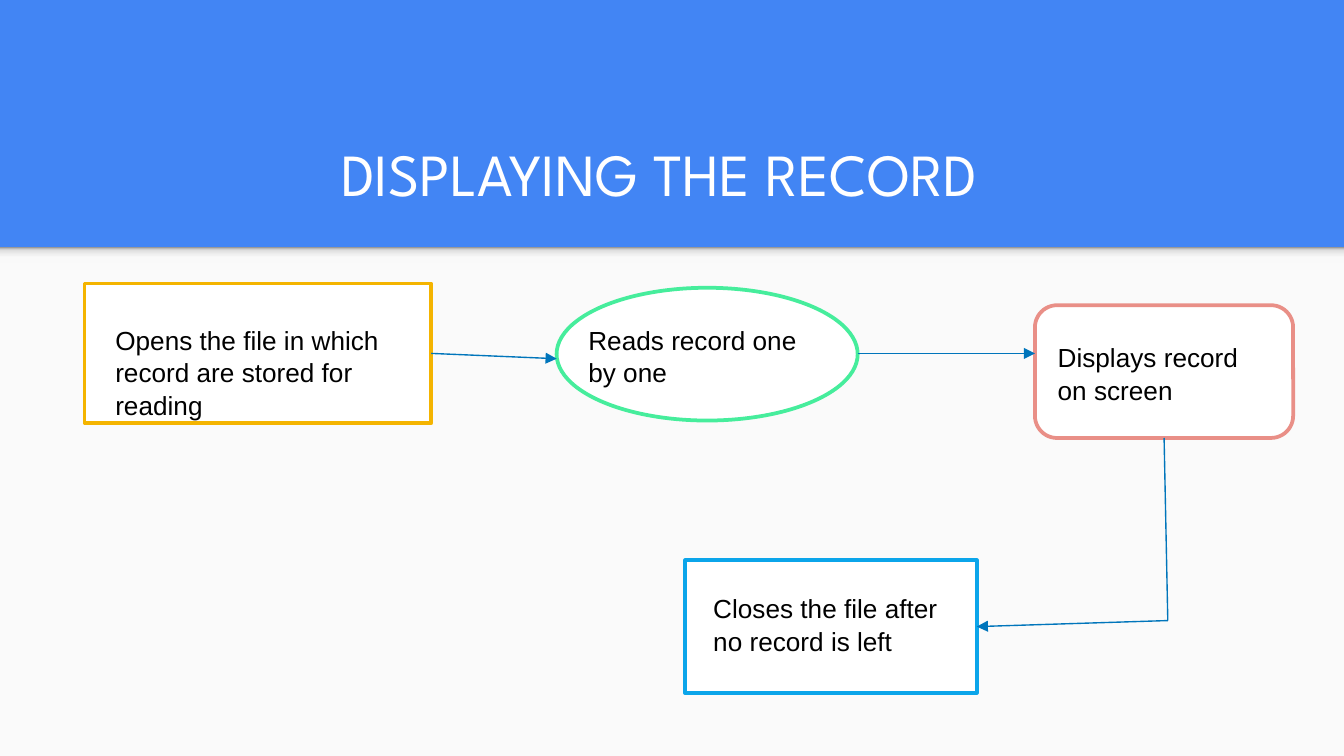
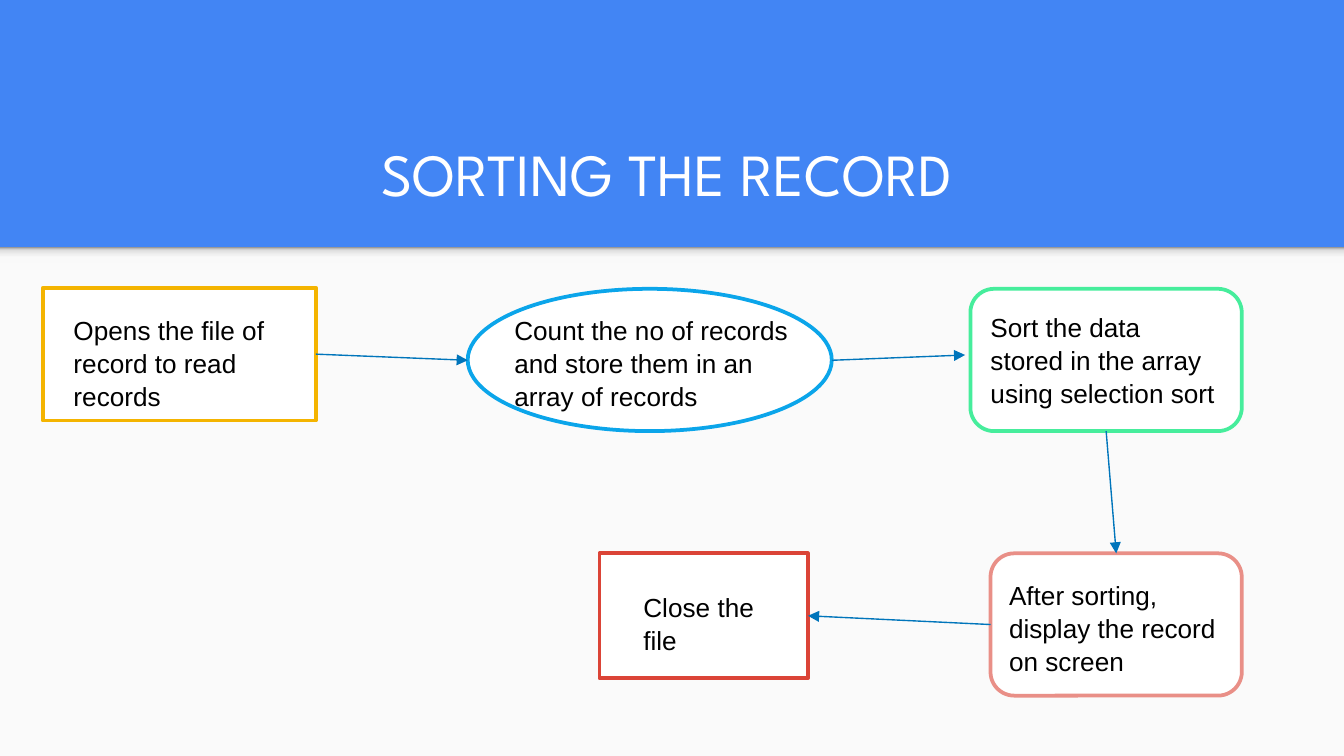
import pptx
import pptx.dml.color
import pptx.enum.shapes
import pptx.enum.text
import pptx.oxml
import pptx.oxml.ns
import pptx.util
import lxml.etree

Cm = pptx.util.Cm
Pt = pptx.util.Pt
SHAPES = pptx.enum.shapes.MSO_SHAPE
RECTANGLE, OVAL, ROUNDED = SHAPES.RECTANGLE, SHAPES.OVAL, SHAPES.ROUNDED_RECTANGLE
TOP, LEFT, BOTTOM, RIGHT = range(4)

BLUE, PAPER, WHITE, BLACK = "4285F4", "FAFAFA", "FFFFFF", "000000"
YELLOW, GREEN, PINK, SKY, RED = "F4B400", "46ED9C", "E98F87", "0BA5EA", "DB4437"
ARROW = "0075BB"
SHADOW_STOPS = [(0, "F9F9F9"), (36, "F9F9F9"), (80, "DEDEDE"), (100, "999999")]


def color(hex_text):
    return pptx.dml.color.RGBColor.from_string(hex_text)


def add_panel(slide, kind, box, fill):
    shape = slide.shapes.add_shape(kind, *[Cm(length) for length in box])
    shape.shadow.inherit = False
    shape.fill.solid()
    shape.fill.fore_color.rgb = color(fill)
    shape.line.fill.background()
    return shape


# Each step: kind, outline, box, text, text box.
# Each arrow: start, end, joined start, joined end, arrowhead.
flows = [
    {
        "title": "DISPLAYING THE RECORD ",
        "steps": [
            (RECTANGLE, YELLOW, (1.6, 5.36, 6.55, 2.64),
             "Opens the file in which record are stored for reading", (1.93, 5.97, 5.64, 2.06)),
            (OVAL, GREEN, (10.52, 5.44, 5.69, 2.51),
             "Reads record one by one", (10.87, 5.97, 4.93, 1.45)),
            (ROUNDED, PINK, (19.56, 5.77, 4.88, 2.51),
             "Displays record on screen", (19.74, 6.3, 4.42, 1.45)),
            (RECTANGLE, SKY, (12.95, 10.59, 5.51, 2.51),
             "Closes the file after no record is left", (13.23, 11.05, 4.83, 1.45)),
        ],
        "arrows": [
            ((8.15, 6.68), (10.52, 6.78), (0, RIGHT), None, True),
            ((16.21, 6.68), (19.56, 6.68), None, None, True),
            ((22, 8.28), (22.07, 11.73), (2, BOTTOM), None, False),
            ((22.07, 11.73), (18.46, 11.84), None, (3, RIGHT), True),
        ],
    },
    {
        "title": "SORTING THE RECORD",
        "steps": [
            (RECTANGLE, YELLOW, (0.81, 5.44, 5.16, 2.51),
             "Opens the file of record to read records", (1.14, 5.79, 4.34, 2.06)),
            (OVAL, SKY, (8.84, 5.46, 6.88, 2.69),
             "Count the no of records and store them in an array of records", (9.47, 5.79, 5.79, 2.06)),
            (ROUNDED, GREEN, (18.34, 5.46, 5.13, 2.69),
             "Sort the data stored in the array using selection sort", (18.47, 5.74, 4.83, 2.06)),
            (ROUNDED, PINK, (18.72, 10.46, 4.75, 2.69),
             "After sorting, display the record on screen", (18.82, 10.8, 4.47, 2.06)),
            (RECTANGLE, RED, (11.33, 10.46, 3.94, 2.36),
             "Close the file", (11.91, 11.02, 3, 1.45)),
        ],
        "arrows": [
            ((5.97, 6.7), (8.84, 6.81), (0, RIGHT), None, True),
            ((15.72, 6.81), (18.24, 6.71), None, None, True),
            ((20.9, 8.15), (21.1, 10.46), (2, BOTTOM), (3, TOP), True),
            ((18.72, 11.81), (15.27, 11.64), (3, LEFT), (4, RIGHT), True),
        ],
    },
]

presentation = pptx.Presentation()
presentation.slide_width = Cm(25.4)
presentation.slide_height = Cm(14.29)
background = presentation.slide_master.background.fill
background.solid()
background.fore_color.rgb = color(BLUE)

for flow in flows:
    slide = presentation.slides.add_slide(presentation.slide_layouts[5])

    title = slide.shapes.title
    title.left, title.top, title.width, title.height = Cm(1.32), Cm(2.06), Cm(22.57), Cm(2.13)
    frame = title.text_frame
    frame.text = flow["title"]
    frame.auto_size = pptx.enum.text.MSO_AUTO_SIZE.NONE
    frame.vertical_anchor = pptx.enum.text.MSO_ANCHOR.BOTTOM
    frame.margin_left = frame.margin_right = frame.margin_top = frame.margin_bottom = Cm(0.25)
    paragraph = frame.paragraphs[0]
    paragraph.alignment = pptx.enum.text.PP_ALIGN.CENTER
    paragraph.font.name = "League Spartan"
    paragraph.font.size = Pt(32)
    paragraph.font.color.rgb = color(WHITE)

    add_panel(slide, RECTANGLE, (0, 4.67, 25.4, 9.62), PAPER)
    band_shadow = add_panel(slide, RECTANGLE, (0, 4.67, 25.4, 0.3), PAPER)
    band_shadow.fill.gradient()
    band_shadow.fill.gradient_angle = 90
    stop_list = band_shadow.element.spPr.find(".//" + pptx.oxml.ns.qn("a:gsLst"))
    for stop in list(stop_list):
        stop_list.remove(stop)
    for position, stop_color in SHADOW_STOPS:
        stop = lxml.etree.SubElement(stop_list, pptx.oxml.ns.qn("a:gs"), pos=str(position * 1000))
        lxml.etree.SubElement(stop, pptx.oxml.ns.qn("a:srgbClr"), val=stop_color)

    step_shapes = []
    for kind, outline, box, text, text_box in flow["steps"]:
        shape = add_panel(slide, kind, box, WHITE)
        shape.line.color.rgb = color(outline)
        shape.line.width = Pt(2)
        step_shapes.append(shape)

        label = slide.shapes.add_textbox(*[Cm(length) for length in text_box])
        label.text_frame.word_wrap = True
        label.text_frame.text = text
        paragraph = label.text_frame.paragraphs[0]
        paragraph.line_spacing = 1.05
        paragraph.font.name = "Arial"
        paragraph.font.size = Pt(14)
        paragraph.font.color.rgb = color(BLACK)

    for start, end, joined_start, joined_end, has_head in flow["arrows"]:
        connector = slide.shapes.add_connector(
            pptx.enum.shapes.MSO_CONNECTOR.STRAIGHT, *[Cm(length) for length in start + end])
        if joined_start:
            connector.begin_connect(step_shapes[joined_start[0]], joined_start[1])
        if joined_end:
            connector.end_connect(step_shapes[joined_end[0]], joined_end[1])
        connector.line.color.rgb = color(ARROW)
        connector.line.width = Pt(0.75)
        if has_head:
            lxml.etree.SubElement(connector.line._get_or_add_ln(), pptx.oxml.ns.qn("a:tailEnd"), type="triangle")
        lxml.etree.SubElement(connector.element.spPr, pptx.oxml.ns.qn("a:effectLst"))

presentation.save("out.pptx")
